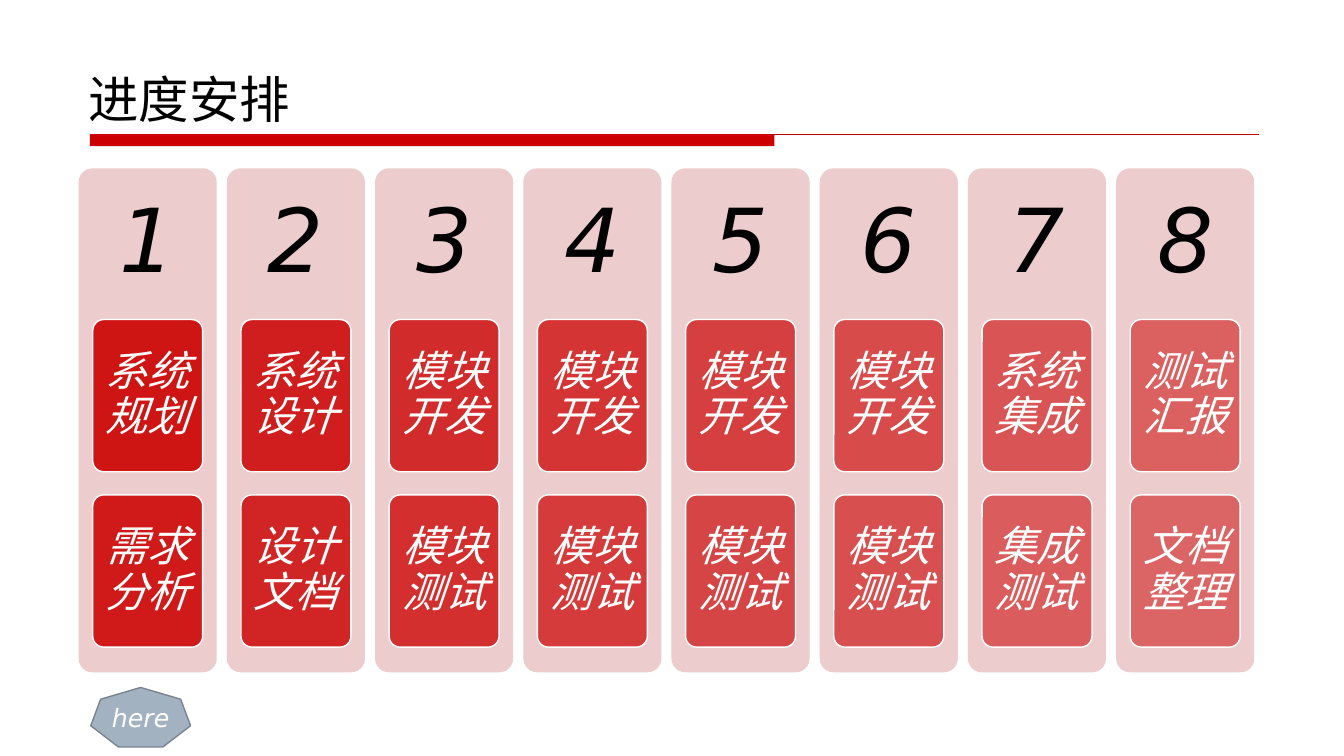
from dataclasses import dataclass

from lxml import etree
from pptx import Presentation
from pptx.dml.color import RGBColor
from pptx.enum.lang import MSO_LANGUAGE_ID
from pptx.enum.shapes import MSO_CONNECTOR, MSO_SHAPE
from pptx.enum.text import MSO_ANCHOR, PP_ALIGN
from pptx.oxml.ns import qn
from pptx.util import Inches, Pt

RECT = MSO_SHAPE.RECTANGLE
ROUND = MSO_SHAPE.ROUNDED_RECTANGLE
BADGE = MSO_SHAPE.HEPTAGON
STRAIGHT = MSO_CONNECTOR.STRAIGHT
MIDDLE, BOTTOM = MSO_ANCHOR.MIDDLE, MSO_ANCHOR.BOTTOM
LEFT, CENTER = PP_ALIGN.LEFT, PP_ALIGN.CENTER
CHINESE = MSO_LANGUAGE_ID.SIMPLIFIED_CHINESE


@dataclass(frozen=True)
class Theme:
    """Colours, font and type sizes of the slide."""
    red: str = "CC0000"
    pink: str = "ECCCCC"
    black: str = "000000"
    white: str = "FFFFFF"
    steel: str = "A3B2C1"
    edge: str = "79848F"
    font: str = "DejaVu Sans"
    title: int = 36
    number: int = 63
    card: int = 30
    badge: int = 18


THEME = Theme()

WEEKS = [
    ("系统规划", "需求分析"),
    ("系统设计", "设计文档"),
    ("模块开发", "模块测试"),
    ("模块开发", "模块测试"),
    ("模块开发", "模块测试"),
    ("模块开发", "模块测试"),
    ("系统集成", "集成测试"),
    ("测试汇报", "文档整理"),
]


def add_form(slide, kind, box, fill, line=None):
    """Add a filled preset shape without a shadow."""
    form = slide.shapes.add_shape(kind, *map(Inches, box))
    form.shadow.inherit = False
    form.fill.solid()
    form.fill.fore_color.rgb = RGBColor.from_string(fill)
    if line:
        form.line.color.rgb = RGBColor.from_string(line)
        form.line.width = Pt(1)
    else:
        form.line.fill.background()
    if kind == ROUND:
        form.adjustments[0] = 0.1
    return form


def fade(form, alpha):
    """Set the opacity of a solid fill in percent."""
    tint = form.fill._xPr.find(qn("a:solidFill"))[0]
    etree.SubElement(tint, qn("a:alpha")).set("val", str(round(alpha * 1000)))


def write(form, text, size, color, align=CENTER, anchor=MIDDLE,
          pad=(0.1, 0.05), slant=True, space=0.9):
    """Write one run of text into a shape or text box."""
    frame = form.text_frame
    frame.word_wrap = True
    frame.vertical_anchor = anchor
    frame.margin_left = frame.margin_right = Inches(pad[0])
    frame.margin_top = frame.margin_bottom = Inches(pad[1])
    para = frame.paragraphs[0]
    para.alignment = align
    para.line_spacing = space
    run = para.add_run()
    run.text = text
    run.font.name = THEME.font
    run.font.size = Pt(size)
    run.font.italic = slant
    run.font.color.rgb = RGBColor.from_string(color)
    run.font.language_id = CHINESE


def add_title(slide, text):
    """Add the title with its thick bar and thin rule."""
    box = slide.shapes.add_textbox(*map(Inches, (0.78, 0, 11.67, 1.33)))
    write(box, text, THEME.title, THEME.black, LEFT, BOTTOM,
          slant=False, space=1.0)
    add_form(slide, RECT, (0.89, 1.33, 6.79, 0.12), THEME.red)
    rule = slide.shapes.add_connector(
        STRAIGHT, *map(Inches, (0.89, 1.33, 12.49, 1.33)))
    rule.line.color.rgb = RGBColor.from_string(THEME.red)
    rule.line.width = Pt(0.75)
    etree.SubElement(rule._element.spPr, qn("a:effectLst"))


def add_lane(slide, week, tasks):
    """Add one week's lane with its number and task cards."""
    left = 0.78 + 1.47 * week
    add_form(slide, ROUND, (left, 1.67, 1.37, 5), THEME.pink)
    head = slide.shapes.add_textbox(*map(Inches, (left, 1.67, 1.37, 1.5)))
    write(head, str(week + 1), THEME.number, THEME.black, pad=(0.26, 0.26))
    for row, task in enumerate(tasks):
        box = (left + 0.14, 3.17 + 1.74 * row, 1.09, 1.51)
        card = add_form(slide, ROUND, box, THEME.red, THEME.white)
        step = len(tasks) * week + row
        fade(card, 90 - 40 * step / (len(tasks) * len(WEEKS) - 1))
        write(card, task, THEME.card, THEME.white, pad=(0.08, 0.09))


def main():
    """Build the schedule slide and save it."""
    deck = Presentation()
    deck.slide_width, deck.slide_height = Inches(13.33), Inches(7.5)
    slide = deck.slides.add_slide(deck.slide_layouts[6])
    add_title(slide, "进度安排")
    for week, tasks in enumerate(WEEKS):
        add_lane(slide, week, tasks)
    badge = add_form(slide, BADGE, (0.9, 6.82, 0.99, 0.59),
                     THEME.steel, THEME.edge)
    write(badge, "here", THEME.badge, THEME.white, pad=(0, 0), space=1.0)
    deck.save("out.pptx")


if __name__ == "__main__":
    main()
